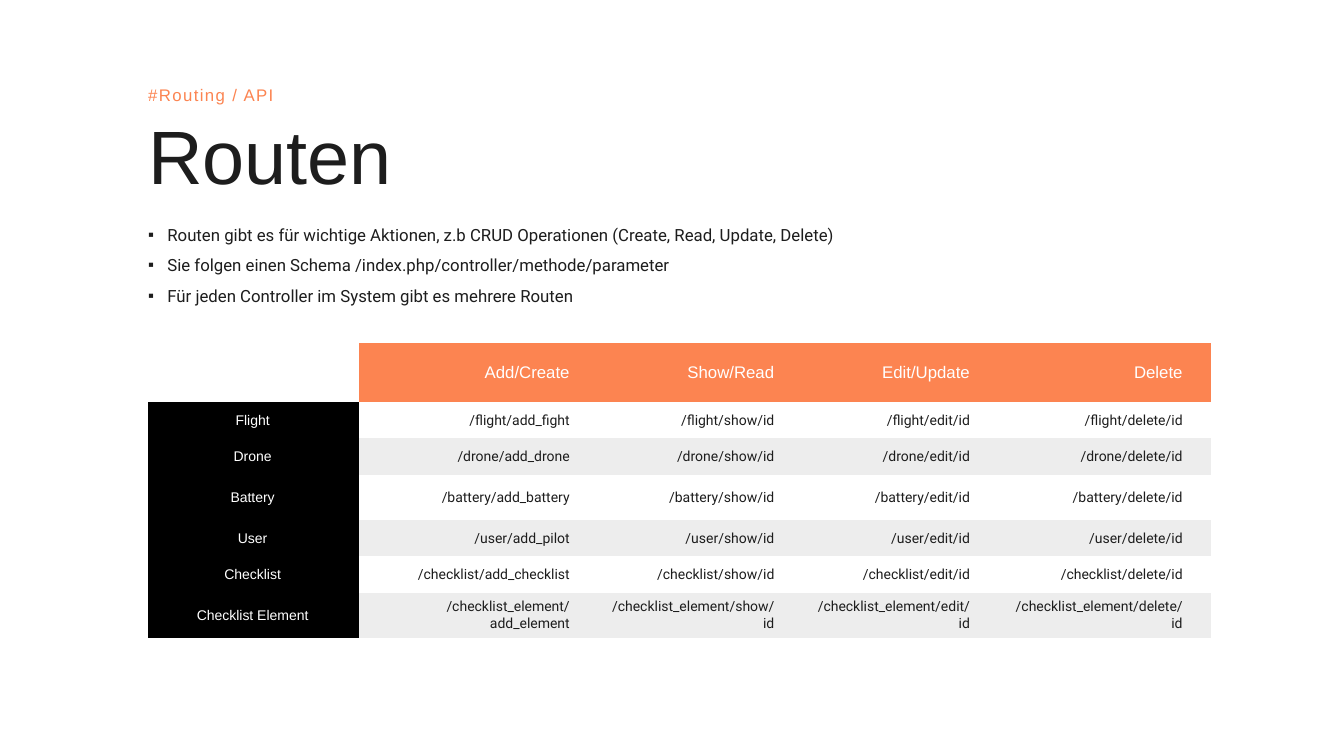
import pptx
import pptx.util
import pptx.dml.color
import pptx.enum.text
from lxml import etree
from pptx.oxml.ns import qn

Inches = pptx.util.Inches
RGBColor = pptx.dml.color.RGBColor
PP_ALIGN = pptx.enum.text.PP_ALIGN
MSO_ANCHOR = pptx.enum.text.MSO_ANCHOR

ORANGE = RGBColor(0xFC, 0x84, 0x51)
INK = RGBColor(0x1D, 0x1D, 0x1D)
BLACK = RGBColor(0, 0, 0)
WHITE = RGBColor(0xFF, 0xFF, 0xFF)
GREY = RGBColor(0xED, 0xED, 0xED)

LEFT = 1.47


def write(paragraph, text, size=12, font="Arial", color=INK,
          align=PP_ALIGN.LEFT, line_spacing=1.0, tracking=None):
    """Fill a paragraph with one formatted run; tracking is in points."""
    paragraph.alignment = align
    paragraph.line_spacing = line_spacing
    run = paragraph.add_run()
    run.text = text
    run.font.size = pptx.util.Pt(size)
    run.font.name = font
    run.font.color.rgb = color
    if tracking:
        run.font._element.set("spc", str(tracking * 100))


def add_text_frame(left, top, width, height, wrap=True, anchor=MSO_ANCHOR.TOP):
    box = slide.shapes.add_textbox(Inches(left), Inches(top), Inches(width), Inches(height))
    frame = box.text_frame
    frame.margin_left = frame.margin_right = frame.margin_top = frame.margin_bottom = 0
    frame.word_wrap = wrap
    frame.vertical_anchor = anchor
    return frame


deck = pptx.Presentation()
deck.slide_width = Inches(13.33)
deck.slide_height = Inches(7.5)
slide = deck.slides.add_slide(deck.slide_layouts[6])

# Heading
title = add_text_frame(LEFT, 1.18, 10.4, 0.82)
write(title.paragraphs[0], "Routen", size=54, line_spacing=0.9)
topic = add_text_frame(LEFT, 0.88, 1.27, 0.16, wrap=False, anchor=MSO_ANCHOR.BOTTOM)
write(topic.paragraphs[0], "#Routing / API", color=ORANGE, line_spacing=0.8, tracking=1)

# Bullet points
points = [
    "Routen gibt es für wichtige Aktionen, z.b CRUD Operationen (Create, Read, Update, Delete)",
    "Sie folgen einen Schema /index.php/controller/methode/parameter",
    "Für jeden Controller im System gibt es mehrere Routen",
]
summary = add_text_frame(LEFT, 2.13, 10.53, 0.87)
for index, point in enumerate(points):
    paragraph = summary.add_paragraph() if index else summary.paragraphs[0]
    write(paragraph, point, font="Roboto", line_spacing=1.5)
    properties = paragraph._p.get_or_add_pPr()
    properties.set("marL", str(Inches(0.19)))
    properties.set("indent", str(-Inches(0.19)))
    etree.SubElement(properties, qn("a:buFont")).set("typeface", "Arial")
    etree.SubElement(properties, qn("a:buChar")).set("char", "▪")

# Table of routes
column_widths = [2.09, 2.37, 2.03, 1.94, 2.11]
row_heights = [0.59, 0.36, 0.36, 0.45, 0.36, 0.36, 0.45]
actions = ["Add/Create", "Show/Read", "Edit/Update", "Delete"]
controllers = [
    ("Flight", "add_fight"),
    ("Drone", "add_drone"),
    ("Battery", "add_battery"),
    ("User", "add_pilot"),
    ("Checklist", "add_checklist"),
    ("Checklist Element", "add_element"),
]
rows = [["", *actions]]
for controller, add_method in controllers:
    base = "/" + controller.lower().replace(" ", "_")
    methods = [add_method, "show/id", "edit/id", "delete/id"]
    rows.append([controller] + [f"{base}/{method}" for method in methods])

routes = slide.shapes.add_table(
    len(rows), len(column_widths), Inches(LEFT), Inches(3.4),
    Inches(sum(column_widths)), Inches(sum(row_heights))).table
routes.first_row = routes.horz_banding = False
for column, width in zip(routes.columns, column_widths):
    column.width = Inches(width)

for r, (row, height) in enumerate(zip(rows, row_heights)):
    routes.rows[r].height = Inches(height)
    for c, text in enumerate(row):
        cell = routes.cell(r, c)
        if not text:
            cell.fill.background()
            continue
        look = {"size": 10, "color": WHITE, "align": PP_ALIGN.RIGHT}
        if r == 0:
            fill = ORANGE
            look["size"] = 12
        elif c == 0:
            fill = BLACK
            look["align"] = PP_ALIGN.CENTER
        else:
            fill = WHITE if r % 2 else GREY
            look.update(font="Roboto", color=INK)
        cell.fill.solid()
        cell.fill.fore_color.rgb = fill
        cell.vertical_anchor = MSO_ANCHOR.MIDDLE
        cell.margin_left = Inches(0.1)
        cell.margin_right = Inches(0.28 if c else 0.12)
        cell.margin_top = cell.margin_bottom = Inches(0.05)
        write(cell.text_frame.paragraphs[0], text, **look)

# Plain grid without the default style's white rules
style_id = routes._tbl.tblPr.find(qn("a:tableStyleId"))
style_id.text = "{2D5ABB26-0587-4C30-8999-92F81FD0307C}"

deck.save("out.pptx")
